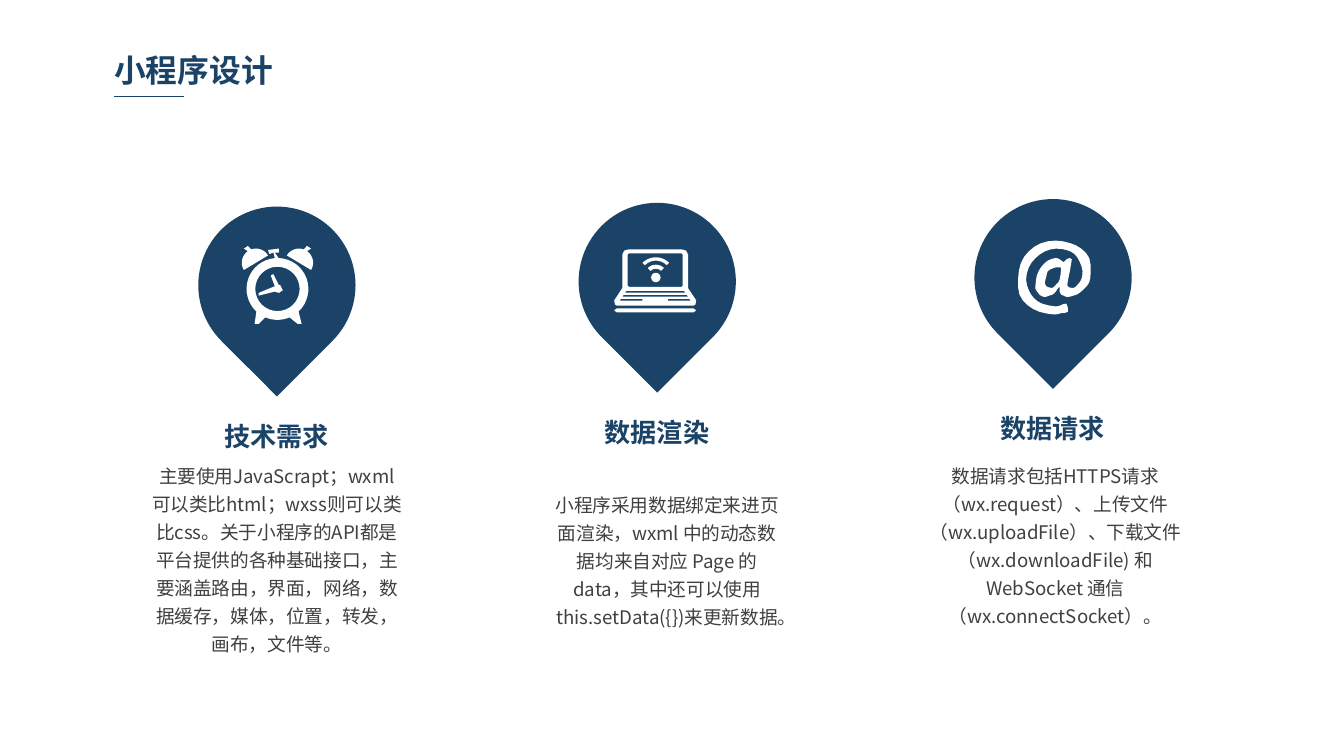
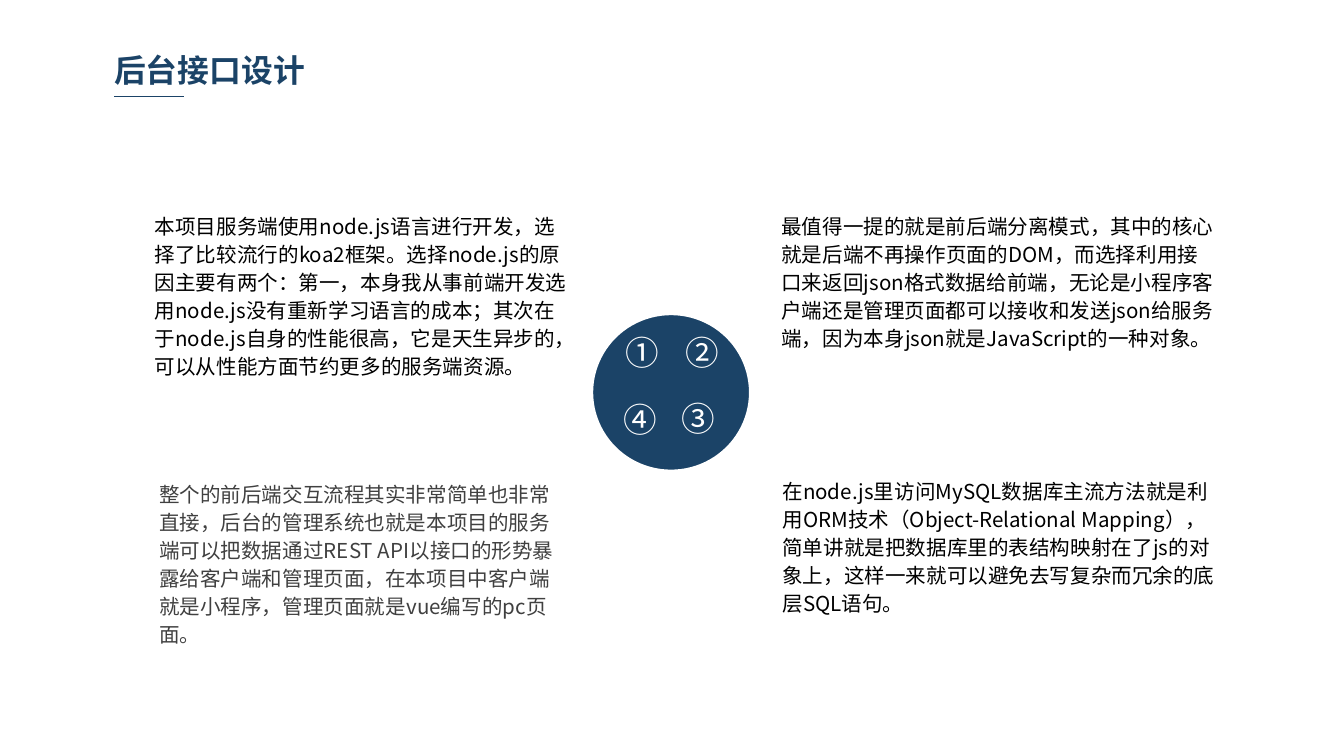
from math import cos, radians, sin

from lxml.etree import SubElement
from pptx import Presentation
from pptx.dml.color import RGBColor
from pptx.enum.shapes import MSO_CONNECTOR as Connector, MSO_SHAPE as Shape
from pptx.enum.text import MSO_AUTO_SIZE as AutoSize, PP_ALIGN as Align
from pptx.oxml.ns import qn
from pptx.util import Inches, Pt

COLUMNS, ROWS = 100, 56.25
CELL = Inches(0.1)
ICON_STEPS = 100
NAVY, WHITE, GREY, BLACK = "1B4367", "FFFFFF", "404040", "000000"
FONT = "Noto Sans CJK SC"
PIN = 11.7


def cells(*counts):
    return [round(count * CELL) for count in counts]


def colour(hex_text):
    return RGBColor.from_string(hex_text)


def paint(shape, fill, line=None, width=1.5):
    shape.shadow.inherit = False
    shape.fill.solid()
    shape.fill.fore_color.rgb = colour(fill)
    if line:
        shape.line.color.rgb = colour(line)
        shape.line.width = Pt(width)
    else:
        shape.line.fill.background()


def write(shapes, text, place, size=11, ink=BLACK, bold=False, align=None,
          spacing=None, wrap=True, insets=(0.7, 0.4)):
    box = shapes.add_textbox(*cells(*place))
    frame = box.text_frame
    frame.word_wrap = wrap
    frame.auto_size = AutoSize.SHAPE_TO_FIT_TEXT
    side, edge = cells(*insets)
    frame.margin_left = frame.margin_right = side
    frame.margin_top = frame.margin_bottom = edge
    para = frame.paragraphs[0]
    para.alignment = align
    if spacing:
        para.line_spacing = Pt(spacing)
    span = para.add_run()
    span.text = text
    span.font.size = Pt(size)
    span.font.bold = bold
    span.font.name = FONT
    span.font.color.rgb = colour(ink)
    SubElement(span.font._element, qn("a:ea"), typeface=FONT)


def add_page(deck, title):
    page = deck.slides.add_slide(deck.slide_layouts[6])
    write(page.shapes, title, (7.8, 3.4, 24.7, 3.6), size=17, ink=NAVY, bold=True)
    rule = page.shapes.add_connector(Connector.STRAIGHT, *cells(8.5, 7.2, 13.7, 7.2))
    rule.line.color.rgb = colour(NAVY)
    rule.line.width = Pt(0.75)
    SubElement(rule._element.spPr, qn("a:effectLst"))
    return page


def arc(x, y, radius, start, end, steps=16):
    angles = [radians(start + (end - start) * i / steps) for i in range(steps + 1)]
    return [(x + radius * cos(angle), y + radius * sin(angle)) for angle in angles]


def band(x, y, outer, inner):
    return arc(x, y, outer, 225, 315) + arc(x, y, inner, 315, 225)


def trapezoid(top, bottom, left, right, slant):
    return [(left, top), (right, top), (right + slant, bottom), (left - slant, bottom)]


def smooth(points):
    curve = []
    for i, here in enumerate(points):
        before, after = points[i - 1], points[(i + 1) % len(points)]
        beyond = points[(i + 2) % len(points)]
        middle = tuple((9 * (b + c) - a - d) / 16
                       for a, b, c, d in zip(before, here, after, beyond))
        curve += [here, middle]
    return curve


def clock_outlines():
    body = ([(10, 58), (13, 58)] + arc(27, 32, 23, 113, 67)
            + [(42, 58), (45, 58)] + arc(27, 32, 23, 47, -88)
            + [(25, 5), (28, 5), (28, 2), (20, 3), (21, 6), (24, 5)]
            + arc(27, 32, 23, -95, -227))
    bell = (arc(43, 12.5, 10.5, 211, 290) + [(49, 0), (52, 2)]
            + arc(43, 12.5, 10.5, 305, 391))
    hands = [(13, 35), (13, 37), (25, 34), (28, 35), (31, 33), (29, 29),
             (28, 29), (24, 21), (22, 22), (25, 30)]
    return [body, bell, [(54 - x, y) for x, y in bell],
            arc(27, 32, 16.5, 0, 360, 32), hands]


def laptop_outlines():
    case = [(0, 38), (6, 29), (6, 4), (7.5, 1), (11, 0), (50, 0), (53.5, 1),
            (55, 4), (55, 29), (61, 38), (60.5, 41), (59, 42), (2, 42), (0.5, 41)]
    screen = [(10, 4), (11, 3), (50, 3), (51, 4), (51, 27), (50, 28), (11, 28), (10, 27)]
    foot = [(2, 44), (59, 44), (61, 45.5), (59, 47), (2, 47), (0, 45.5)]
    keys = [trapezoid(31, 32.3, 9, 52, 1), trapezoid(34, 35.3, 7, 54, 1),
            [(5, 37), (21, 37), (21, 38.3), (4, 38.3)],
            [(40, 37), (56, 37), (57, 38.3), (40, 38.3)]]
    signal = [band(31, 20, 14, 11.5), band(31, 20, 8.5, 5.5), arc(31, 21, 3.5, 0, 360)]
    return [case, screen, foot] + keys + signal


def at_sign_outlines():
    ring = [(36, 14), (40, 14), (37, 30), (37, 34), (39, 35), (42, 35), (45, 32),
            (47, 29), (48, 23), (46, 16), (42, 10), (36, 7), (28, 6), (20, 8),
            (13, 13), (8, 20), (6, 29), (8, 37), (12, 43), (18, 47), (28, 49),
            (32, 48), (36, 47), (37, 53), (32, 54), (27, 55), (16, 53), (7, 48),
            (1, 40), (0, 29), (2, 17), (8, 8), (17, 2), (28, 0), (39, 2), (47, 6),
            (53, 13), (54, 23), (53, 31), (49, 36), (44, 40), (37, 42), (34, 41),
            (32, 40), (31, 38), (31, 35), (30, 35), (28, 38), (26, 40), (23, 41),
            (20, 42), (17, 41), (15, 39), (13, 36), (13, 33), (14, 26), (17, 20),
            (22, 15), (28, 13), (31, 14), (34, 16)]
    hole = [(32, 21), (31, 20), (28, 20), (25, 21), (22, 23), (21, 27), (20, 31),
            (21, 34), (24, 35), (26, 35), (29, 32), (31, 29)]
    return [smooth(ring), smooth(hole)]


def draw_icon(shapes, outlines, left, top):
    scaled = [[(round(x * ICON_STEPS), round(y * ICON_STEPS)) for x, y in outline]
              for outline in outlines]
    builder = shapes.build_freeform(*scaled[0][0], scale=CELL / 10 / ICON_STEPS)
    for number, outline in enumerate(scaled):
        if number:
            builder.move_to(*outline[0])
        builder.add_line_segments(outline[1:], close=True)
    paint(builder.convert_to_shape(*cells(left, top)), WHITE)


def add_topic(page, left, top, heading, outlines, icon_at, text, text_at):
    group = page.shapes.add_group_shape().shapes
    pin = group.add_shape(Shape.TEAR, *cells(left, top, PIN, PIN))
    pin.rotation = 135
    paint(pin, NAVY)
    draw_icon(group, outlines, *icon_at)
    write(page.shapes, heading, (left + 1.13, top + 15.5, 9.4, 3.1), size=14,
          ink=NAVY, bold=True, align=Align.CENTER, wrap=False)
    write(page.shapes, text, text_at, size=10, ink=GREY, align=Align.CENTER, spacing=15)


def add_number_disc(page, numbers):
    group = page.shapes.add_group_shape().shapes
    disc = group.add_shape(Shape.OVAL, *cells(44.03, 23.35, 11.8, 11.7))
    paint(disc, NAVY, line=WHITE)
    for number, left, top in numbers:
        write(group, number, (left, top, 4.5, 4), size=18, ink=WHITE,
              wrap=False, insets=(1, 0.5))


def main():
    deck = Presentation()
    deck.slide_width, deck.slide_height = cells(COLUMNS, ROWS)

    page = add_page(deck, "小程序设计")
    topics = [
        (14.75, "技术需求", clock_outlines(), (17.95, 18.3),
         "主要使用JavaScrapt；wxml可以类比html；wxss则可以类比css。关于小程序的API"
         "都是平台提供的各种基础接口，主要涵盖路由，界面，网络，数据缓存，媒体，位置，"
         "转发，画布，文件等。", (10.5, 33.8, 20.2, 15.5)),
        (43.05, "数据渲染", laptop_outlines(), (45.7, 18.55),
         "小程序采用数据绑定来进页面渲染，wxml 中的动态数据均来自对应 Page 的 data，"
         "其中还可以使用this.setData({})来更新数据。", (40.52, 35.9, 18.23, 11.3)),
        (72.5, "数据请求", at_sign_outlines(), (75.75, 17.9),
         "数据请求包括HTTPS请求（wx.request）、上传文件（wx.uploadFile）、下载文件"
         "（wx.downloadFile) 和 WebSocket 通信（wx.connectSocket）。",
         (66.92, 33.75, 23.2, 13.4)),
    ]
    for number, (left, *details) in enumerate(topics):
        add_topic(page, left, 15.37 - 0.28 * number, *details)

    page = add_page(deck, "后台接口设计")
    add_number_disc(page, [("①", 45.55, 24.2), ("②", 50, 24.2),
                           ("④", 45.4, 29.2), ("③", 49.7, 29.1)])
    notes = [
        ("整个的前后端交互流程其实非常简单也非常直接，后台的管理系统也就是本项目的服务端"
         "可以把数据通过REST API以接口的形势暴露给客户端和管理页面，在本项目中客户端就是"
         "小程序，管理页面就是vue编写的pc页面。", (11.13, 35.2, 30.9, 13.2), GREY),
        ("在node.js里访问MySQL数据库主流方法就是利用ORM技术（Object-Relational "
         "Mapping），简单讲就是把数据库里的表结构映射在了js的对象上，这样一来就可以避免"
         "去写复杂而冗余的底层SQL语句。", (57.52, 35, 33.6, 11.3), BLACK),
        ("本项目服务端使用node.js语言进行开发，选择了比较流行的koa2框架。选择node.js的"
         "原因主要有两个：第一，本身我从事前端开发选用node.js没有重新学习语言的成本；"
         "其次在于node.js自身的性能很高，它是天生异步的，可以从性能方面节约更多的服务端资源。",
         (10.82, 15.3, 32.6, 13.2), BLACK),
        ("最值得一提的就是前后端分离模式，其中的核心就是后端不再操作页面的DOM，而选择"
         "利用接口来返回json格式数据给前端，无论是小程序客户端还是管理页面都可以接收和"
         "发送json给服务端，因为本身json就是JavaScript的一种对象。",
         (57.44, 15.3, 33.7, 11.3), BLACK),
    ]
    for text, place, ink in notes:
        write(page.shapes, text, place, ink=ink, spacing=15)

    deck.save("out.pptx")


if __name__ == "__main__":
    main()
